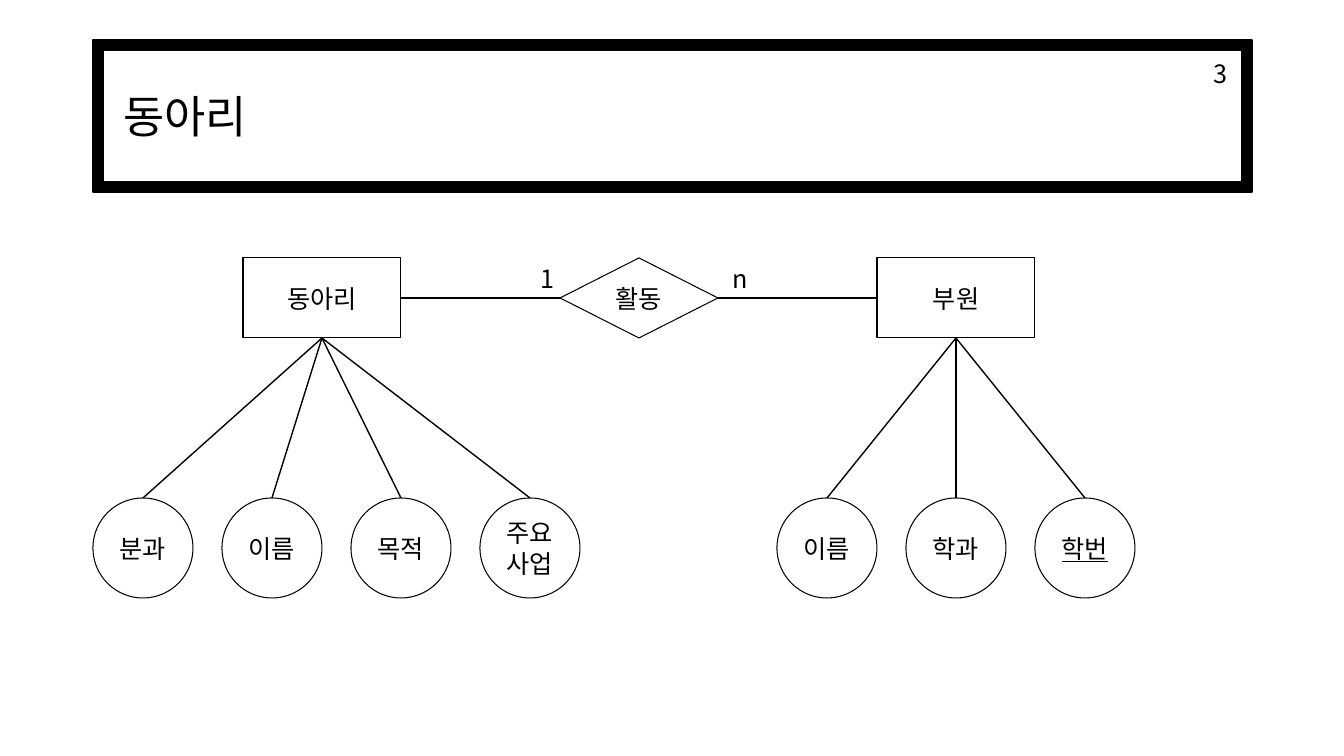
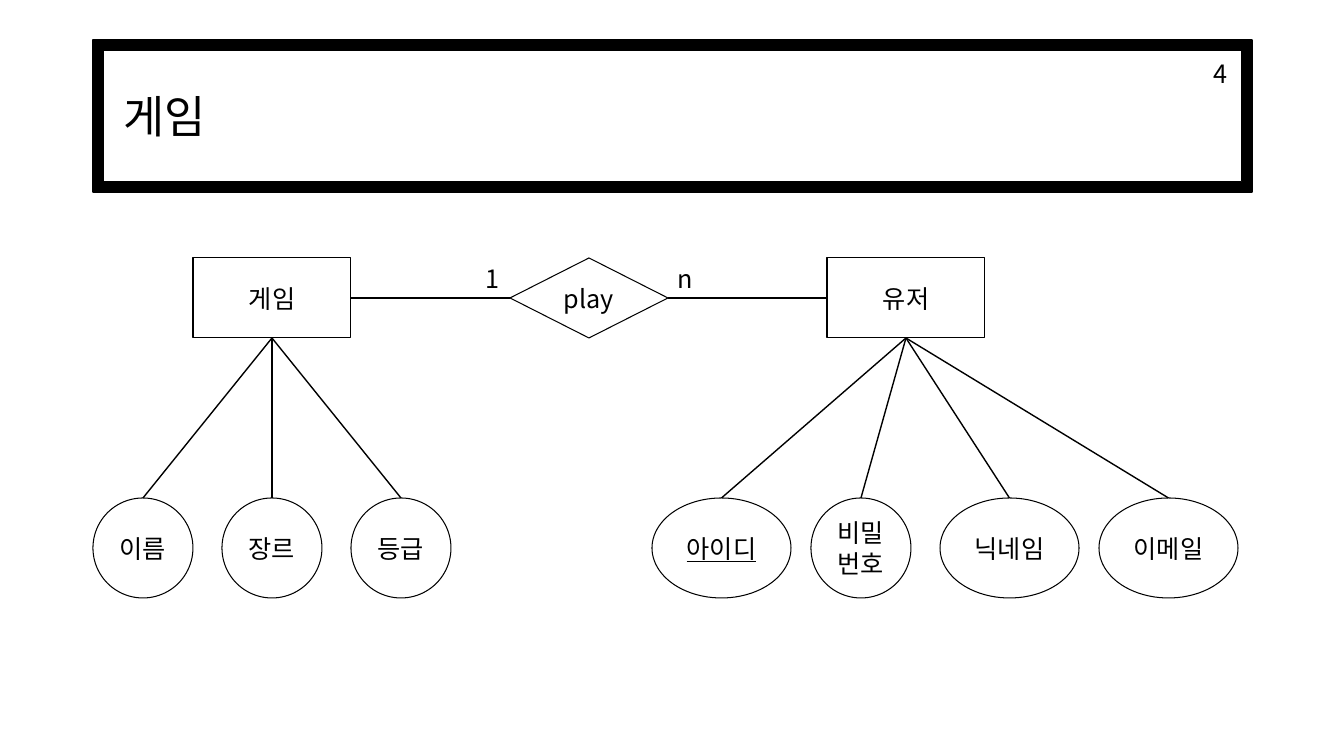
import dataclasses

import lxml.etree
import pptx
import pptx.dml.color
import pptx.enum.shapes
import pptx.enum.text
import pptx.oxml.ns
import pptx.util

SHAPE = pptx.enum.shapes.MSO_SHAPE
ALIGN = pptx.enum.text.PP_ALIGN
ANCHOR = pptx.enum.text.MSO_ANCHOR
FONT = "Noto Sans CJK KR"
INK = "000000"
EMU_PER_PX = 914400 / 100.8
TOP, LEFT, BOTTOM, RIGHT = range(4)

TITLE_BOX = (93, 40, 1159, 152)
ENTITY_TOP, ENTITY_WIDTH, ENTITY_HEIGHT = 258, 158, 80
ENTITY_PITCH = 317
ATTRIBUTE_TOP, ATTRIBUTE_HEIGHT = 498, 100
LABEL_WIDTH, LABEL_HEIGHT = 34, 40


@dataclasses.dataclass
class Attribute:
    """An attribute ellipse; gap is the space to the one before it."""
    label: str
    width: int = 100
    gap: int = 29
    key: bool = False


def px(length):
    return pptx.util.Emu(round(length * EMU_PER_PX))


def color(value):
    return pptx.dml.color.RGBColor.from_string(value)


def write(frame, text, size=18, align=ALIGN.LEFT, anchor=ANCHOR.TOP, underline=None, wrap=True):
    frame.word_wrap = wrap
    frame.vertical_anchor = anchor
    paragraph = frame.paragraphs[0]
    paragraph.alignment = align
    run = paragraph.add_run()
    run.text = text
    font = run.font
    font.name = FONT
    font.size = pptx.util.Pt(size)
    font.underline = underline
    font.color.rgb = color(INK)
    east_asian = lxml.etree.SubElement(font._element, pptx.oxml.ns.qn("a:ea"))
    east_asian.set("typeface", FONT)


def add_label(slide, text, left, top, wrap=True):
    box = slide.shapes.add_textbox(px(left), px(top), px(LABEL_WIDTH), px(LABEL_HEIGHT))
    write(box.text_frame, text, wrap=wrap)
    box.text_frame.auto_size = pptx.enum.text.MSO_AUTO_SIZE.SHAPE_TO_FIT_TEXT


def add_outline(slide, kind, box, line_width=0.75):
    shape = slide.shapes.add_shape(kind, *map(px, box))
    shape.shadow.inherit = False
    shape.fill.background()
    shape.line.color.rgb = color(INK)
    shape.line.width = pptx.util.Pt(line_width)
    return shape


def add_node(slide, kind, box, text, underline=None):
    node = add_outline(slide, kind, box)
    write(node.text_frame, text, align=ALIGN.CENTER, anchor=ANCHOR.MIDDLE, underline=underline)
    return node


def join(slide, start, start_side, end, end_side):
    line = slide.shapes.add_connector(pptx.enum.shapes.MSO_CONNECTOR.STRAIGHT, 0, 0, 0, 0)
    line.begin_connect(start, start_side)
    line.end_connect(end, end_side)
    line.line.color.rgb = color(INK)
    line.line.width = pptx.util.Pt(1)
    lxml.etree.SubElement(line._element.spPr, pptx.oxml.ns.qn("a:effectLst"))


def add_title(slide, box, title, number):
    left, top, width, _ = box
    frame = add_outline(slide, SHAPE.FRAME, box, line_width=1)
    frame.adjustments[0] = 0.067
    frame.fill.solid()
    frame.fill.fore_color.rgb = color(INK)
    frame.text_frame.margin_left = px(20)
    write(frame.text_frame, title, size=32, anchor=ANCHOR.MIDDLE)
    add_label(slide, str(number), left + width - 48, top + 13, wrap=False)


def add_relation(slide, left, labels, label_shift):
    """Draws entity, relationship and entity in a row; returns the two entities."""
    kinds = (SHAPE.FLOWCHART_PROCESS, SHAPE.FLOWCHART_DECISION, SHAPE.FLOWCHART_PROCESS)
    owner, relationship, member = [
        add_node(slide, kind, (left + i * ENTITY_PITCH, ENTITY_TOP, ENTITY_WIDTH, ENTITY_HEIGHT), label)
        for i, (kind, label) in enumerate(zip(kinds, labels))
    ]
    join(slide, owner, RIGHT, relationship, LEFT)
    join(slide, relationship, RIGHT, member, LEFT)
    diamond_left = left + ENTITY_PITCH
    add_label(slide, "1", diamond_left - LABEL_WIDTH + label_shift, ENTITY_TOP)
    add_label(slide, "n", diamond_left + ENTITY_WIDTH + label_shift, ENTITY_TOP)
    return owner, member


def add_attributes(slide, entity, left, attributes):
    for i, attribute in enumerate(attributes):
        if i:
            left += attribute.gap
        box = (left, ATTRIBUTE_TOP, attribute.width, ATTRIBUTE_HEIGHT)
        ellipse = add_node(slide, SHAPE.FLOWCHART_CONNECTOR, box, attribute.label,
                           underline=attribute.key or None)
        join(slide, entity, BOTTOM, ellipse, TOP)
        left += attribute.width


def add_diagram_slide(deck, number, title, left, labels, label_shift, attribute_rows):
    slide = deck.slides.add_slide(deck.slide_layouts[6])
    add_title(slide, TITLE_BOX, title, number)
    entities = add_relation(slide, left, labels, label_shift)
    for entity, (row_left, attributes) in zip(entities, attribute_rows):
        add_attributes(slide, entity, row_left, attributes)


def main():
    deck = pptx.Presentation()
    deck.slide_width, deck.slide_height = px(1344), px(756)
    add_diagram_slide(
        deck, 3, "동아리", 243, ("동아리", "활동", "부원"), 5,
        (
            (93, [Attribute("분과"), Attribute("이름"), Attribute("목적"), Attribute("주요 사업")]),
            (777, [Attribute("이름"), Attribute("학과"), Attribute("학번", key=True)]),
        ),
    )
    add_diagram_slide(
        deck, 4, "게임", 193, ("게임", "play", "유저"), 0,
        (
            (93, [Attribute("이름"), Attribute("장르"), Attribute("등급")]),
            (652, [
                Attribute("아이디", width=139, key=True),
                Attribute("비밀번호", gap=20),
                Attribute("닉네임", width=139),
                Attribute("이메일", width=139, gap=20),
            ]),
        ),
    )
    deck.save("out.pptx")


if __name__ == "__main__":
    main()
